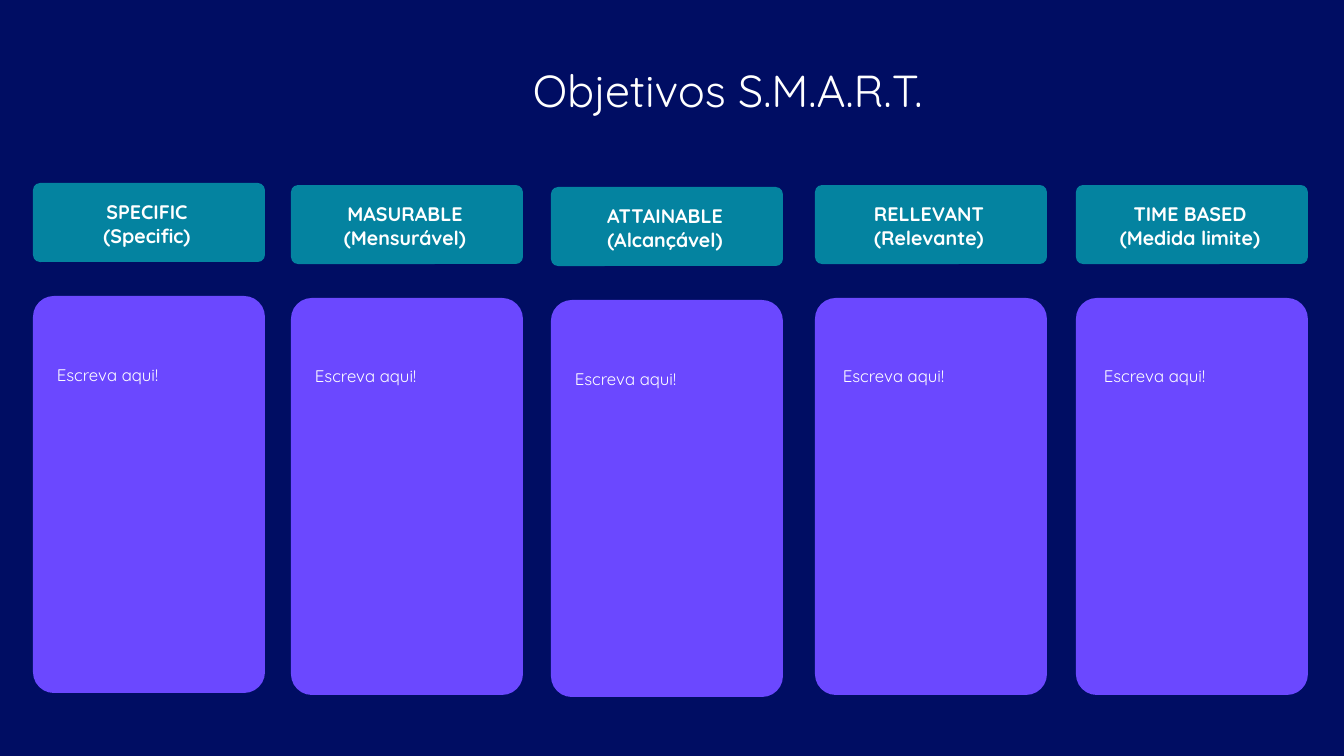
from pptx import Presentation
from pptx.dml.color import RGBColor
from pptx.enum.shapes import MSO_SHAPE
from pptx.enum.text import MSO_AUTO_SIZE, PP_ALIGN
from pptx.util import Pt

TITLE = "Objetivos S.M.A.R.T."
PROMPT = "Escreva aqui!"
COLUMNS = [
    {"lines": ["SPECIFIC", "(Specific)"], "left": 33, "top": 183, "note_left": 47, "note_top": 360},
    {"lines": ["MASURABLE", "(Mensurável)"], "left": 291, "top": 185, "note_left": 305, "note_top": 361},
    {"lines": ["ATTAINABLE", "(Alcançável)"], "left": 551, "top": 187, "note_left": 565, "note_top": 364},
    {"lines": ["RELLEVANT", "(Relevante)"], "left": 815, "top": 185, "note_left": 833, "note_top": 361},
    {"lines": ["TIME BASED", "(Medida limite)"], "left": 1076, "top": 185, "note_left": 1094, "note_top": 361},
]

NAVY = RGBColor(0x00, 0x0D, 0x63)
TEAL = RGBColor(0x04, 0x83, 0xA0)
VIOLET = RGBColor(0x6B, 0x48, 0xFF)
WHITE = RGBColor(0xFF, 0xFF, 0xFF)
FONT = "Quicksand"
EMU_PER_PX = 914400 / 100.8

SLIDE_WIDTH, SLIDE_HEIGHT = 1344, 756
COLUMN_WIDTH = 232
HEADER_HEIGHT = 79
CARD_OFFSET, CARD_HEIGHT = 113, 397
LABEL_OUTSET, LABEL_OFFSET, LABEL_HEIGHT = 4, 12, 57
NOTE_WIDTH, NOTE_HEIGHT = 204, 30


def px(*lengths):
    return [round(length * EMU_PER_PX) for length in lengths]


def add_panel(slide, left, top, height, color):
    shape = slide.shapes.add_shape(
        MSO_SHAPE.ROUNDED_RECTANGLE, *px(left, top, COLUMN_WIDTH, height))
    shape.adjustments[0] = 0.09
    shape.shadow.inherit = False
    shape.fill.solid()
    shape.fill.fore_color.rgb = color
    shape.line.fill.background()


def add_text(slide, box, lines, size, align=PP_ALIGN.LEFT, bold=False, wrap=True):
    text_frame = slide.shapes.add_textbox(*px(*box)).text_frame
    text_frame.word_wrap = wrap
    text_frame.auto_size = MSO_AUTO_SIZE.SHAPE_TO_FIT_TEXT
    paragraph = text_frame.paragraphs[0]
    paragraph.alignment = align
    for index, line in enumerate(lines):
        if index:
            paragraph.add_line_break()
        run = paragraph.add_run()
        run.text = line
        run.font.name = FONT
        run.font.size = Pt(size)
        run.font.bold = bold
        run.font.color.rgb = WHITE


def add_column(slide, column):
    left, top = column["left"], column["top"]
    add_panel(slide, left, top, HEADER_HEIGHT, TEAL)
    add_panel(slide, left, top + CARD_OFFSET, CARD_HEIGHT, VIOLET)
    label_box = (left - LABEL_OUTSET, top + LABEL_OFFSET,
                 COLUMN_WIDTH + LABEL_OUTSET, LABEL_HEIGHT)
    add_text(slide, label_box, column["lines"], 14, PP_ALIGN.CENTER, bold=True)
    note_box = (column["note_left"], column["note_top"], NOTE_WIDTH, NOTE_HEIGHT)
    add_text(slide, note_box, [PROMPT], 12)


def main():
    presentation = Presentation()
    presentation.slide_width, presentation.slide_height = px(SLIDE_WIDTH, SLIDE_HEIGHT)
    slide = presentation.slides.add_slide(presentation.slide_layouts[6])
    slide.background.fill.solid()
    slide.background.fill.fore_color.rgb = NAVY
    add_text(slide, (523, 58, 438, 65), [TITLE], 32, wrap=False)
    for column in COLUMNS:
        add_column(slide, column)
    presentation.save("out.pptx")


if __name__ == "__main__":
    main()
